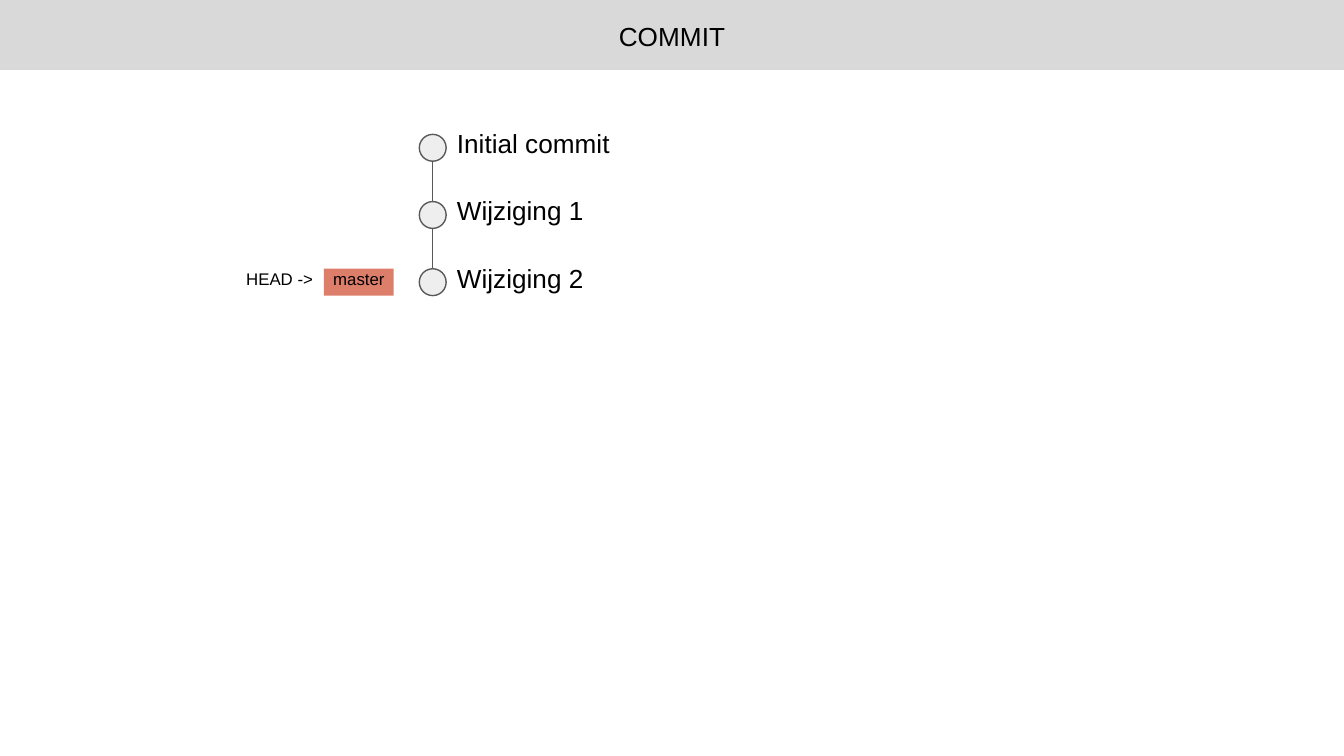
from dataclasses import dataclass

import pptx
import pptx.dml.color
import pptx.enum.shapes
import pptx.enum.text
import pptx.oxml
import pptx.util
from pptx.util import Inches

COLORS = {
    "text": "000000",
    "bar": "D9D9D9",
    "node": "EEEEEE",
    "outline": "595959",
    "branch": "DD7E6B",
}
FONT = "Arial"
LINE_WIDTH = 0.75
NODE_LEFT, NODE_SIZE = 3.12, 0.2
FIRST_TOP, ROW_STEP = 1.0, 0.5


@dataclass
class Box:
    left: float
    top: float
    width: float
    height: float

    def lengths(self) -> list:
        return [Inches(v) for v in (self.left, self.top, self.width, self.height)]


@dataclass
class Commit:
    message: str
    row: int

    @property
    def top(self) -> float:
        return FIRST_TOP + self.row * ROW_STEP


def color(name: str) -> pptx.dml.color.RGBColor:
    return pptx.dml.color.RGBColor.from_string(COLORS[name])


def fill_shape(shape, name: str) -> None:
    shape.fill.solid()
    shape.fill.fore_color.rgb = color(name)


def set_outline(shape) -> None:
    shape.line.color.rgb = color("outline")
    shape.line.width = pptx.util.Pt(LINE_WIDTH)


def write_text(shape, text: str, size: float, centered: bool = True,
               insets: tuple = (0, 0, 0, 0)) -> None:
    frame = shape.text_frame
    frame.word_wrap = True
    frame.auto_size = pptx.enum.text.MSO_AUTO_SIZE.NONE
    frame.vertical_anchor = pptx.enum.text.MSO_ANCHOR.TOP
    (frame.margin_left, frame.margin_top,
     frame.margin_right, frame.margin_bottom) = map(Inches, insets)
    paragraph = frame.paragraphs[0]
    alignment = pptx.enum.text.PP_ALIGN
    paragraph.alignment = alignment.CENTER if centered else alignment.LEFT
    run = paragraph.add_run()
    run.text = text
    run.font.name = FONT
    run.font.size = pptx.util.Pt(size)
    run.font.color.rgb = color("text")


def add_label(slide, box: Box, text: str, size: float, centered: bool) -> None:
    write_text(slide.shapes.add_textbox(*box.lengths()), text, size, centered)


def add_commit(slide, commit: Commit) -> None:
    box = Box(NODE_LEFT, commit.top, NODE_SIZE, NODE_SIZE)
    node = slide.shapes.add_shape(
        pptx.enum.shapes.MSO_SHAPE.OVAL, *box.lengths())
    node.shadow.inherit = False
    fill_shape(node, "node")
    set_outline(node)
    add_label(slide, Box(3.4, commit.top - 0.05, 1.2, 0.3),
              commit.message, 14, centered=False)


def add_link(slide, parent: Commit, child: Commit) -> None:
    center = Inches(NODE_LEFT + NODE_SIZE / 2)
    link = slide.shapes.add_connector(
        pptx.enum.shapes.MSO_CONNECTOR.STRAIGHT,
        center, Inches(parent.top + NODE_SIZE), center, Inches(child.top))
    set_outline(link)
    properties = link._element.spPr
    properties.append(pptx.oxml.parse_xml(
        '<a:effectLst xmlns:a="http://schemas.openxmlformats.org/drawingml/2006/main"/>'))


def add_branch(slide, commit: Commit, name: str) -> None:
    box = Box(2.41, commit.top, 0.52, NODE_SIZE)
    branch = slide.shapes.add_shape(
        pptx.enum.shapes.MSO_SHAPE.RECTANGLE, *box.lengths())
    branch.shadow.inherit = False
    fill_shape(branch, "branch")
    branch.line.fill.background()
    write_text(branch, name, 9)


def add_title(slide, text: str) -> None:
    title = slide.shapes.title
    title.left, title.top, title.width, title.height = Box(0, 0, 10, 0.52).lengths()
    fill_shape(title, "bar")
    write_text(title, text, 14, insets=(0.1, 0.15, 0.1, 0.1))


def main() -> None:
    # Widescreen 16:9 slide
    presentation = pptx.Presentation()
    presentation.slide_width = Inches(10)
    presentation.slide_height = Inches(10 * 9 / 16)
    slide = presentation.slides.add_slide(presentation.slide_layouts[5])

    # Title bar
    add_title(slide, "COMMIT")

    # Commit history, oldest first
    messages = ["Initial commit", "Wijziging 1", "Wijziging 2"]
    commits = [Commit(message, row) for row, message in enumerate(messages)]
    for commit in commits:
        add_commit(slide, commit)
    for parent, child in zip(commits, commits[1:]):
        add_link(slide, parent, child)

    # Branch and HEAD at the latest commit
    latest = commits[-1]
    add_branch(slide, latest, "master")
    add_label(slide, Box(1.82, latest.top, 0.52, NODE_SIZE), "HEAD ->", 9, centered=True)

    presentation.save("out.pptx")


if __name__ == "__main__":
    main()
